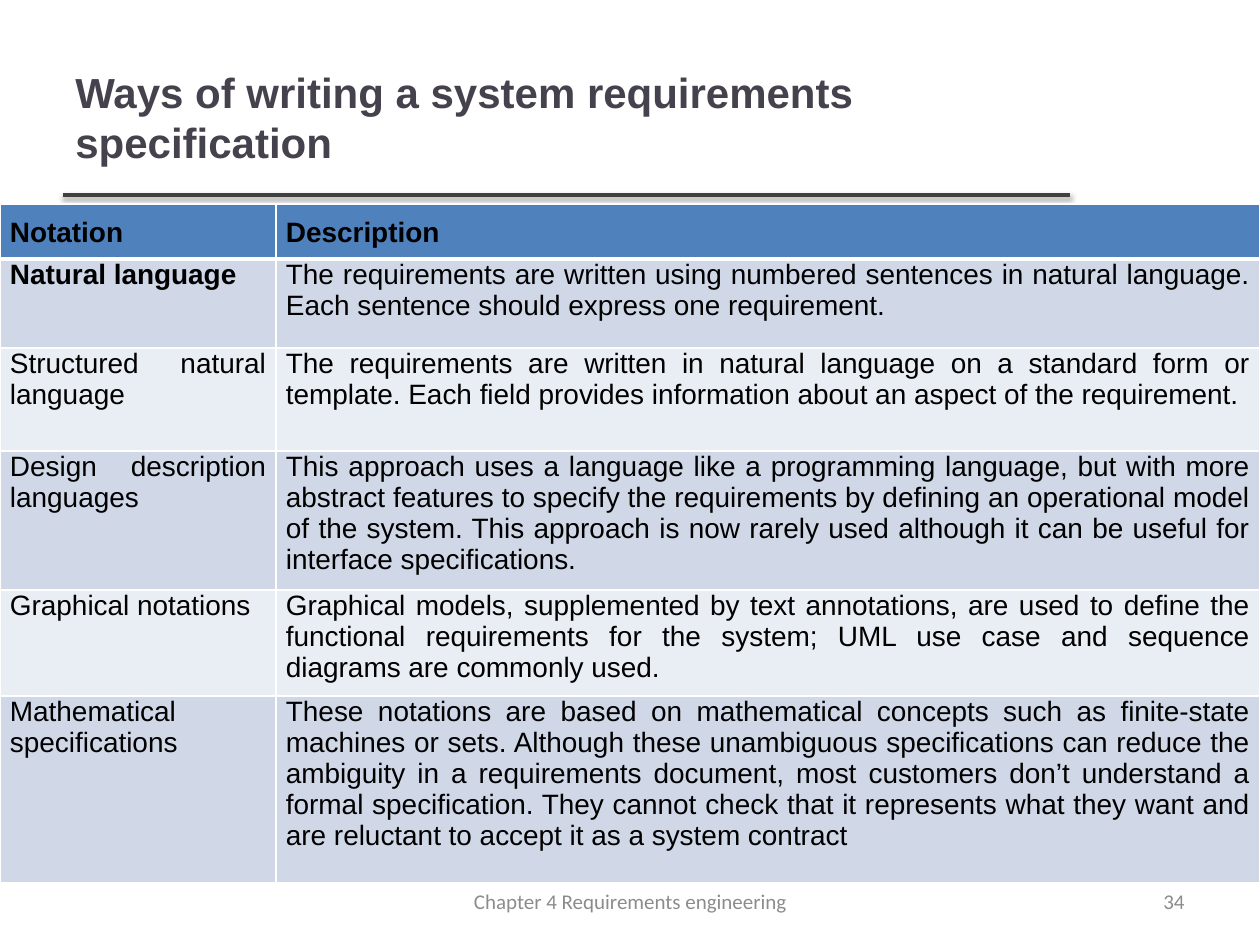
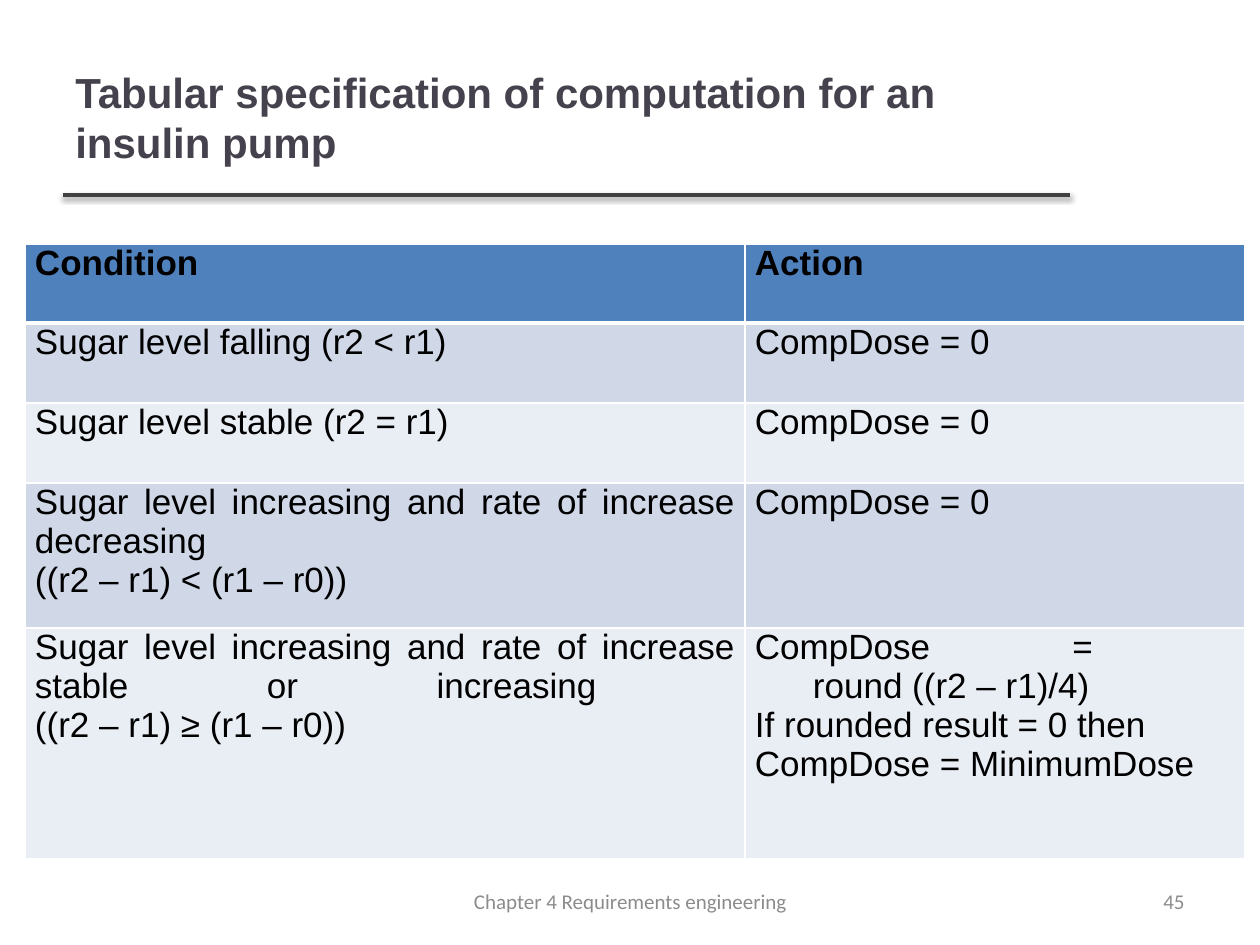
from dataclasses import dataclass

from lxml.etree import SubElement
from pptx import Presentation
from pptx.dml.color import RGBColor
from pptx.enum.shapes import MSO_CONNECTOR
from pptx.enum.text import MSO_ANCHOR as Anchor, PP_ALIGN as Align
from pptx.oxml.ns import qn
from pptx.util import Pt

# Content
FOOTER = "Chapter 4 Requirements engineering"
SLIDES = [
    {
        "title": "Ways of writing a system requirements specification",
        "number": "34",
        "origin": (0, 204),
        "cols": (276, 984),
        "rows": (55, 89, 103, 139, 106, 187),
        "size": 16,
        "header_top": 13,
        "bold_cells": {(1, 0)},
        "hanging_cells": set(),
        "table": [
            ("Notation", "Description"),
            ("Natural language",
             "The requirements are written using numbered sentences in natural "
             "language. Each sentence should express one requirement."),
            ("Structured natural language",
             "The requirements are written in natural language on a standard form "
             "or template. Each field provides information about an aspect of the "
             "requirement."),
            ("Design description languages",
             "This approach uses a language like a programming language, but with "
             "more abstract features to specify the requirements by defining an "
             "operational model of the system. This approach is now rarely used "
             "although it can be useful for interface specifications."),
            ("Graphical notations",
             "Graphical models, supplemented by text annotations, are used to "
             "define the functional requirements for the system; UML use case and "
             "sequence diagrams are commonly used."),
            ("Mathematical specifications",
             "These notations are based on mathematical concepts such as "
             "finite-state machines or sets. Although these unambiguous "
             "specifications can reduce the ambiguity in a requirements document, "
             "most customers don’t understand a formal specification. They cannot "
             "check that it represents what they want and are reluctant to accept "
             "it as a system contract"),
        ],
    },
    {
        "title": "Tabular specification of computation for an insulin pump",
        "number": "45",
        "origin": (25, 244),
        "cols": (720, 500),
        "rows": (79, 80, 80, 145, 231),
        "size": 20,
        "header_top": 0,
        "bold_cells": set(),
        "hanging_cells": {(4, 1)},
        "table": [
            ("Condition", "Action"),
            ("Sugar level falling (r2 < r1)", "CompDose = 0"),
            ("Sugar level stable (r2 = r1)", "CompDose = 0"),
            ("Sugar level increasing and rate of increase decreasing \n"
             "((r2 – r1) < (r1 – r0))", "CompDose = 0"),
            ("Sugar level increasing and rate of increase stable or increasing \n"
             "((r2 – r1) ≥ (r1 – r0))",
             ("CompDose = \nround ((r2 – r1)/4)",
              "If rounded result = 0 then",
              "CompDose = MinimumDose")),
        ],
    },
]


@dataclass(frozen=True)
class Theme:
    title: str = "46424D"
    rule: str = "404040"
    footer: str = "8C8C8C"
    text: str = "000000"
    border: str = "FFFFFF"
    header: str = "4F81BD"
    bands: tuple = ("D0D8E8", "E9EDF4")
    font: str = "Arial"
    footer_font: str = "Calibri"
    title_size: int = 24
    footer_size: int = 12


T = Theme()

# Layout in px
SLIDE_W, SLIDE_H = 1260, 945
TITLE_BOX = (63, 38, 1006, 157)
RULE = (63, 195, 1070, 195)
NUMBER_BOX = (903, 876, 294, 50)
FOOTER_BOX = (431, 876, 399, 50)
CELL_SIDE, CELL_BOTTOM, HANG = 10, 0, 58


def px(n):
    return round(n * 914400 / 126)


def add_run(p, text, size, color, font, bold=False):
    r = p.add_run()
    r.text = text
    f = r.font
    f.size, f.name, f.bold = Pt(size), font, bold
    f.color.rgb = RGBColor.from_string(color)


def add_text(slide, box, text, size, color, font, align, bold=False):
    tf = slide.shapes.add_textbox(*map(px, box)).text_frame
    tf.word_wrap = True
    tf.vertical_anchor = Anchor.MIDDLE
    p = tf.paragraphs[0]
    p.alignment = align
    add_run(p, text, size, color, font, bold)


def add_rule(slide):
    line = slide.shapes.add_connector(MSO_CONNECTOR.STRAIGHT, *map(px, RULE))
    line.line.color.rgb = RGBColor.from_string(T.rule)
    line.line.width = Pt(2)
    effects = SubElement(line._element.spPr, qn("a:effectLst"))
    shadow = SubElement(effects, qn("a:outerShdw"), blurRad=str(Pt(3.1)),
                        dist=str(Pt(1.6)), dir="5400000", rotWithShape="0")
    color = SubElement(shadow, qn("a:srgbClr"), val="000000")
    SubElement(color, qn("a:alpha"), val="38000")


def add_borders(cell, widths):
    tc_pr = cell._tc.get_or_add_tcPr()
    for side, width in zip("LRTB", widths):
        ln = SubElement(tc_pr, qn(f"a:ln{side}"), w=str(Pt(width)))
        fill = SubElement(ln, qn("a:solidFill"))
        SubElement(fill, qn("a:srgbClr"), val=T.border)


def fill_cell(cell, content, size, bold, hanging):
    paragraphs = [content] if isinstance(content, str) else content
    tf = cell.text_frame
    for i, text in enumerate(paragraphs):
        p = tf.add_paragraph() if i else tf.paragraphs[0]
        p.alignment = Align.JUSTIFY
        if hanging:
            p_pr = p._p.get_or_add_pPr()
            p_pr.set("marL", str(px(HANG)))
            p_pr.set("indent", str(-px(HANG)))
        for j, part in enumerate(text.split("\n")):
            if j:
                p.add_line_break()
            add_run(p, part, size, T.text, T.font, bold)


def add_grid(slide, data):
    rows, cols = data["rows"], data["cols"]
    box = (*data["origin"], sum(cols), sum(rows))
    table = slide.shapes.add_table(len(rows), len(cols), *map(px, box)).table
    for column, width in zip(table.columns, cols):
        column.width = px(width)
    for i, (row, height) in enumerate(zip(table.rows, rows)):
        row.height = px(height)
        head = i == 0
        color = T.header if head else T.bands[(i - 1) % 2]
        for j, content in enumerate(data["table"][i]):
            cell = table.cell(i, j)
            cell.margin_left = cell.margin_right = px(CELL_SIDE)
            cell.margin_top = px(data["header_top"] if head else 0)
            cell.margin_bottom = px(CELL_BOTTOM)
            # The edge between header and body is thicker
            add_borders(cell, (1, 1, 3 if i == 1 else 1, 3 if head else 1))
            cell.fill.solid()
            cell.fill.fore_color.rgb = RGBColor.from_string(color)
            fill_cell(cell, content, data["size"],
                      head or (i, j) in data["bold_cells"],
                      (i, j) in data["hanging_cells"])


def build_slide(prs, data):
    slide = prs.slides.add_slide(prs.slide_layouts[6])
    # Title and rule
    add_rule(slide)
    add_text(slide, TITLE_BOX, data["title"], T.title_size, T.title, T.font,
             Align.LEFT, bold=True)
    # Table
    add_grid(slide, data)
    # Footer
    for box, text, align in ((NUMBER_BOX, data["number"], Align.RIGHT),
                             (FOOTER_BOX, FOOTER, Align.CENTER)):
        add_text(slide, box, text, T.footer_size, T.footer, T.footer_font, align)


def main():
    prs = Presentation()
    prs.slide_width, prs.slide_height = px(SLIDE_W), px(SLIDE_H)
    for data in SLIDES:
        build_slide(prs, data)
    prs.save("out.pptx")


if __name__ == "__main__":
    main()
